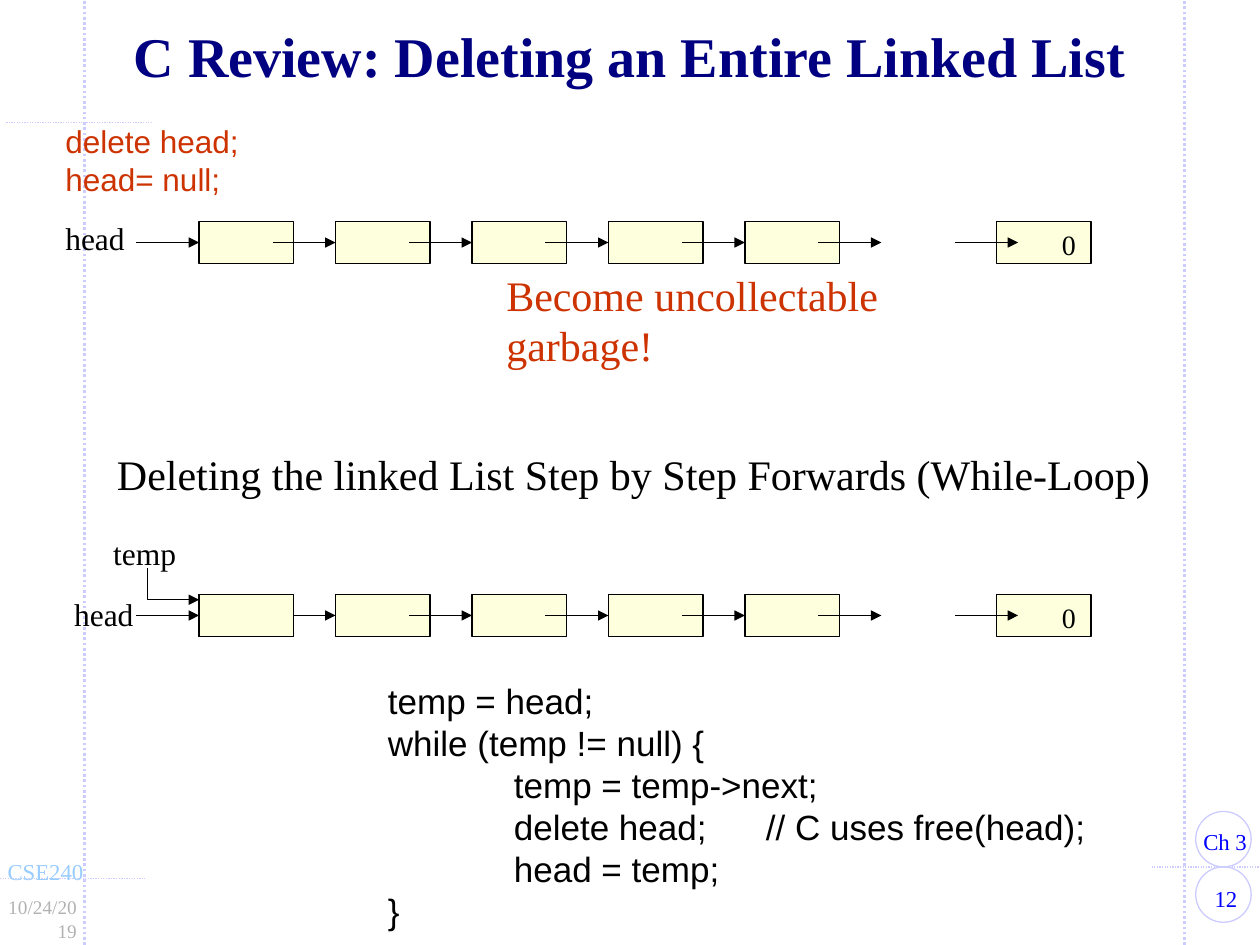
from pptx import Presentation
from pptx import util as u
from pptx.dml.color import RGBColor
from pptx.enum import dml, shapes, text
from pptx.oxml.ns import qn
from lxml import etree

SERIF, SANS = "Times New Roman", "Arial"
BLACK, RED, BLUE, PALE = "000000", "CC3300", "0000FF", "CCCCFF"
NODE_FILL = "FDFFDD"
WIDTH, HEIGHT = 10, 7.5
LEFT, CENTER, RIGHT = text.PP_ALIGN.LEFT, text.PP_ALIGN.CENTER, text.PP_ALIGN.RIGHT

GUIDES = [
    ((0.67, HEIGHT), (0.67, 0), 1.5),
    ((9.4, HEIGHT), (9.4, 0), 1.5),
    ((0, 6.97), (1.15, 6.97), 0.75),
    ((9.14, 6.88), (10.05, 6.88), 0.75),
    ((0.05, 0.97), (1.2, 0.97), 0.75),
]
BADGE_TOPS = [6.88, 6.44]
FOOTER = [
    ("12", (9.44, 6.97, 0.58, 0.32), 13, BLUE, CENTER, True),
    ("Ch 3", (9.44, 6.52, 0.56, 0.32), 13, BLUE, LEFT, False),
    ("CSE240", (-0.05, 6.76, 0.81, 0.32), 13, "99CCFF", LEFT, False),
    ("10/24/2019", (-0.11, 7.06, 0.83, 0.29), 11, "B2B2B2", RIGHT, True),
]
TITLE = "C Review: Deleting an Entire Linked List"
LABELS = [
    ("head", (0.42, 1.69, 0.67, 0.4), 18, BLACK, SERIF),
    ("head", (0.49, 4.67, 0.67, 0.4), 18, BLACK, SERIF),
    ("temp", (0.8, 4.19, 0.7, 0.4), 18, BLACK, SERIF),
    ("Deleting the linked List Step by Step Forwards (While-Loop)",
     (0.83, 3.51, 8.63, 0.5), 24, BLACK, SERIF),
    ("delete head;\nhead= null;", (0.42, 0.92, 1.58, 0.7), 18, RED, SANS),
    ("temp = head;\nwhile (temp != null) {\n\ttemp = temp->next;\n"
     "\tdelete head;\t// C uses free(head);\n\thead = temp;\n}",
     (2.98, 5.34, 5.78, 2.12), 20, BLACK, SANS),
]
TAB_STOPS = [1, 3]
WARNING = "Become uncollectable garbage!"

NODE_W, NODE_H, NODE_PITCH, ARROW = 0.75, 0.33, 1.083, 0.5
FIRST_NODE, LAST_NODE = 1.58, 7.91
LAST_ARROW = 7.58
LIST_TOPS = {"lost": 1.76, "stepwise": 4.72}

deck = Presentation()
deck.slide_width, deck.slide_height = u.Inches(WIDTH), u.Inches(HEIGHT)
slide = deck.slides.add_slide(deck.slide_layouts[6])


def inches(values):
    return [u.Inches(value) for value in values]


def color(value):
    return RGBColor.from_string(value)


def outline(part, ink, weight):
    part.line.color.rgb = color(ink)
    part.line.width = u.Pt(weight)


def add_arrowhead(part):
    etree.SubElement(part.line._get_or_add_ln(), qn("a:tailEnd"), type="triangle")


def add_line(start, end, ink=BLACK, weight=0.75):
    line = slide.shapes.add_connector(
        shapes.MSO_CONNECTOR.STRAIGHT, *inches(start + end))
    outline(line, ink, weight)
    etree.SubElement(line._element.spPr, qn("a:effectLst"))
    return line


def add_arrow(x, y):
    add_arrowhead(add_line((x, y), (x + ARROW, y)))


def add_outlined(preset, place, ink, fill=None):
    part = slide.shapes.add_shape(preset, *inches(place))
    part.shadow.inherit = False
    outline(part, ink, 0.75)
    if fill:
        part.fill.solid()
        part.fill.fore_color.rgb = color(fill)
    else:
        part.fill.background()


def add_tab_stops(paragraph):
    tabs = etree.SubElement(paragraph._p.get_or_add_pPr(), qn("a:tabLst"))
    for stop in TAB_STOPS:
        etree.SubElement(tabs, qn("a:tab"), pos=str(u.Inches(stop)), algn="l")


def add_text(words, place, size, ink, font=SERIF, align=LEFT, wrap=False, inset=0.1):
    box = slide.shapes.add_textbox(*inches(place))
    frame = box.text_frame
    frame.word_wrap = wrap
    frame.margin_left = u.Inches(inset)
    frame.margin_right = u.Inches(inset if wrap else 0)
    frame.text = words
    for paragraph in frame.paragraphs:
        paragraph.alignment = align
        if "\t" in paragraph.text:
            add_tab_stops(paragraph)
        for run in paragraph.runs:
            run.font.size, run.font.name = u.Pt(size), font
            run.font.color.rgb = color(ink)
    return frame


def add_node(x, top):
    add_outlined(shapes.MSO_SHAPE.RECTANGLE, (x, top, NODE_W, NODE_H), BLACK, NODE_FILL)


def add_linked_list(top, first_link_hidden):
    middle = top + NODE_H / 2
    starts = [FIRST_NODE + NODE_PITCH * i for i in range(5)]
    for x in starts:
        add_node(x, top)
    add_node(LAST_NODE, top)
    for x in starts:
        add_arrow(x + NODE_PITCH - ARROW, middle)
    if first_link_hidden:
        add_node(FIRST_NODE, top)
    add_arrow(LAST_ARROW, middle)
    add_arrow(FIRST_NODE - ARROW, middle)
    add_text("0", (8.33, top, 0.31, 0.37), 16, BLACK)


for start, end, weight in GUIDES:
    add_line(start, end, PALE, weight).line.dash_style = dml.MSO_LINE.ROUND_DOT
for top in BADGE_TOPS:
    add_outlined(shapes.MSO_SHAPE.OVAL, (9.49, top, 0.44, 0.44), PALE)
for words, place, size, ink, align, wrap in FOOTER:
    add_text(words, place, size, ink, align=align, wrap=wrap, inset=0.11)

title = add_text(TITLE, (0.73, 0.17, 8.54, 0.62), 32, "000080", align=CENTER, wrap=True)
title.vertical_anchor = text.MSO_ANCHOR.MIDDLE
title.paragraphs[0].line_spacing = 0.85
title.paragraphs[0].runs[0].font.bold = True

for name, top in LIST_TOPS.items():
    add_linked_list(top, name == "stepwise")

temp_path = slide.shapes.build_freeform(u.Inches(1.17), u.Inches(4.51))
temp_path.add_line_segments(
    [inches((1.17, 4.76)), inches((FIRST_NODE, 4.76))], close=False)
temp_pointer = temp_path.convert_to_shape()
temp_pointer.shadow.inherit = False
temp_pointer.fill.background()
outline(temp_pointer, BLACK, 0.75)
add_arrowhead(temp_pointer)

for words, place, size, ink, font in LABELS:
    add_text(words, place, size, ink, font)
warning = add_text(WARNING, (3.92, 2.09, 4.4, 0.5), 24, RED, wrap=True)
warning.margin_right = u.Inches(0.9)

deck.save("out.pptx")
